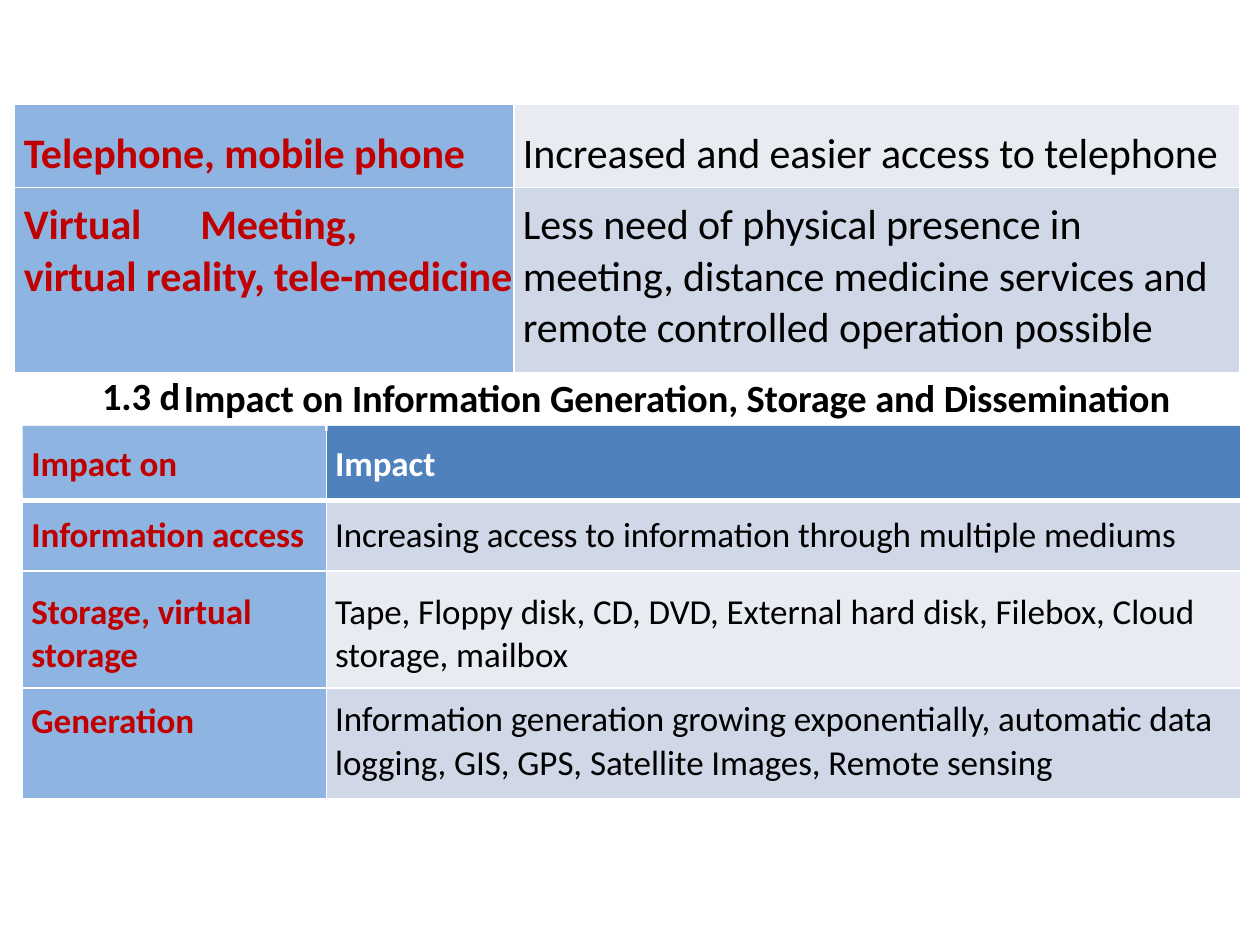
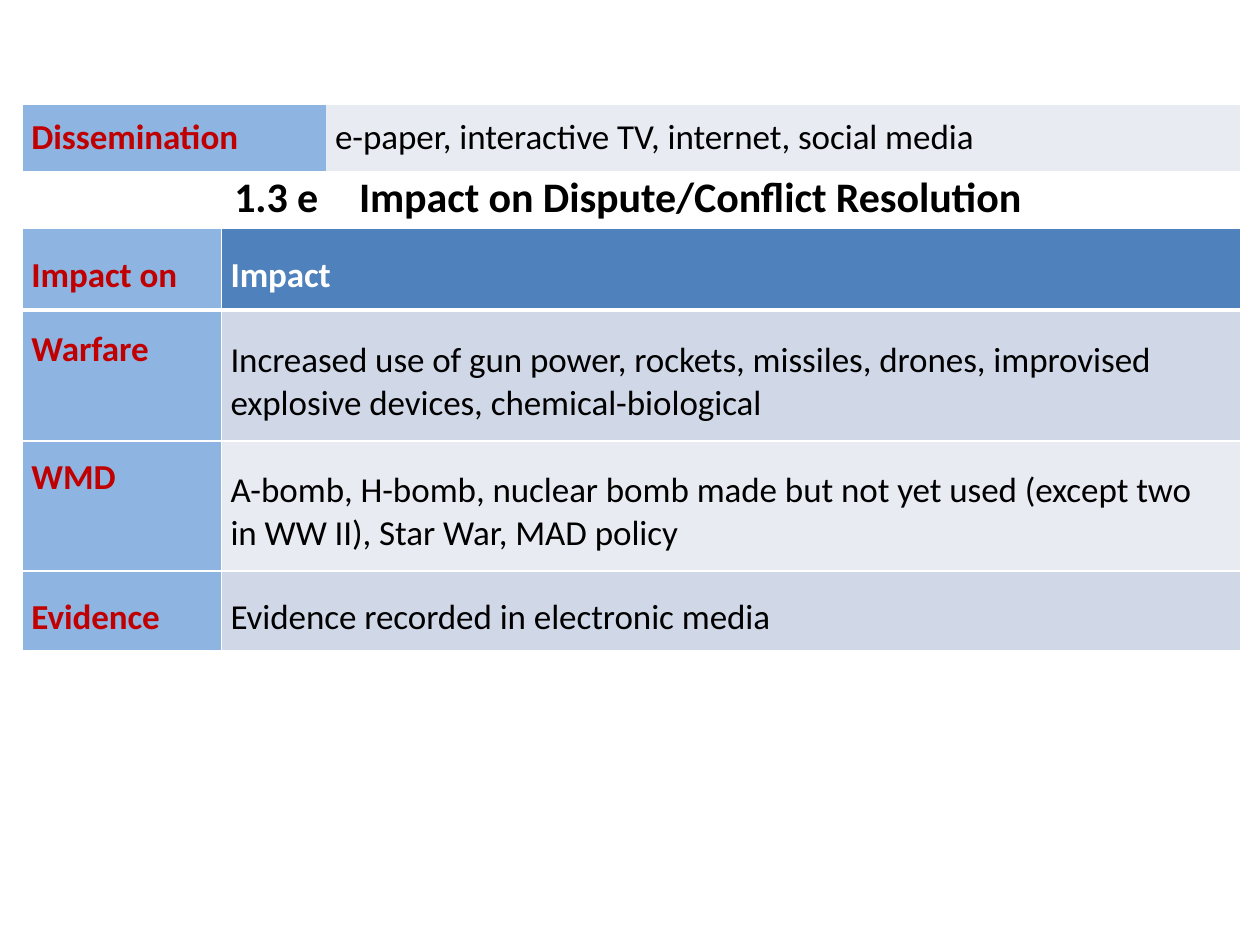
from pptx import Presentation
from pptx.dml.color import RGBColor
from pptx.enum.shapes import MSO_SHAPE
from pptx.enum.text import MSO_ANCHOR, MSO_AUTO_SIZE, PP_ALIGN
from pptx.oxml.ns import qn
from pptx.util import Inches, Pt
from lxml.etree import SubElement

TOPIC_FILL, HEADER_FILL = "8EB4E2", "4F81BC"
BAND_FILLS = ("E9EBF3", "D0D7E7")
TOPIC_TEXT, HEADER_TEXT, BODY_TEXT = "C00000", "FFFFFF", "000000"
RULE = "FFFFFF"
FONT = "Calibri"
PLAIN_TABLE = "{2D5ABB26-0587-4C30-8999-92F81FD0307C}"
LEFT = 0.18


def rgb(color):
    return RGBColor.from_string(color)


def paint(fill, color):
    fill.solid()
    fill.fore_color.rgb = rgb(color)


class Deck:
    def __init__(self):
        self.prs = Presentation()
        self.prs.slide_width, self.prs.slide_height = Inches(10), Inches(7.5)
        self.slide = None

    def add_slide(self):
        self.slide = self.prs.slides.add_slide(self.prs.slide_layouts[5])

    def set_text(self, paragraph, text, size, color=BODY_TEXT, bold=True):
        paragraph.text = text
        paragraph.alignment = PP_ALIGN.LEFT
        for run in paragraph.runs:
            for name, value in {"name": FONT, "size": Pt(size), "bold": bold}.items():
                setattr(run.font, name, value)
            run.font.color.rgb = rgb(color)
            run.font._element.set("spc", "-5")

    def place(self, holder, box, text, size):
        holder.left, holder.top, holder.width, holder.height = map(Inches, box)
        frame = holder.text_frame
        style = {
            "margin_left": Inches(0.01), "margin_top": Inches(0.01),
            "margin_right": 0, "margin_bottom": 0, "word_wrap": True,
            "vertical_anchor": MSO_ANCHOR.TOP,
            "auto_size": MSO_AUTO_SIZE.SHAPE_TO_FIT_TEXT,
        }
        for name, value in style.items():
            setattr(frame, name, value)
        self.set_text(frame.paragraphs[0], text, size)

    def heading(self, number, number_box, title, title_box, size):
        self.place(self.slide.shapes.title, title_box, title, size)
        number_holder = self.slide.shapes.add_textbox(0, 0, 0, 0)
        self.place(number_holder, number_box, number, size)

    def panel(self, box, color):
        panel = self.slide.shapes.add_shape(MSO_SHAPE.RECTANGLE, *map(Inches, box))
        panel.shadow.inherit = False
        panel.line.fill.background()
        paint(panel.fill, color)

    def border(self, cell, side, width):
        line = SubElement(cell._tc.get_or_add_tcPr(), qn(f"a:ln{side}"), w=str(Pt(width)))
        SubElement(SubElement(line, qn("a:solidFill")), qn("a:srgbClr"), val=RULE)

    def table(self, at, widths, heights, rows, size, header=True, rule=1.0, ruled=True):
        frame = self.slide.shapes.add_table(
            len(rows), 2, Inches(at[0]), Inches(at[1]),
            Inches(sum(widths)), Inches(sum(heights)))
        table = frame.table
        table.horz_banding = False
        table.first_row = header
        table._tbl.tblPr.find(qn("a:tableStyleId")).text = PLAIN_TABLE
        for column, width in zip(table.columns, widths):
            column.width = Inches(width)
        for row, height in zip(table.rows, heights):
            row.height = Inches(height)
        rules = [None] + [rule] * (len(rows) - 1) + [None]
        if header:
            rules[1] = 3
        for r, (texts, insets) in enumerate(rows):
            for c, (text, inset) in enumerate(zip(texts, insets)):
                cell = table.cell(r, c)
                margins = {"left": 0.07, "top": inset, "right": 0, "bottom": 0}
                for side, margin in margins.items():
                    setattr(cell, f"margin_{side}", Inches(margin))
                if ruled:
                    self.border(cell, "R" if c == 0 else "L", 1)
                for side, width in (("T", rules[r]), ("B", rules[r + 1])):
                    if width:
                        self.border(cell, side, width)
                in_header = header and r == 0
                if c == 0:
                    fill, color = TOPIC_FILL, TOPIC_TEXT
                elif in_header:
                    fill, color = HEADER_FILL, HEADER_TEXT
                else:
                    fill, color = BAND_FILLS[r % 2], BODY_TEXT
                paint(cell.fill, fill)
                paragraph = cell.text_frame.paragraphs[0]
                self.set_text(paragraph, text, size, color, c == 0 or in_header)
                paragraph.line_spacing = 1.01
        return table

    def tab_stops(self, cell, stops):
        properties = cell.text_frame.paragraphs[0]._p.get_or_add_pPr()
        tabs = SubElement(properties, qn("a:tabLst"))
        for stop in stops:
            SubElement(tabs, qn("a:tab"), pos=str(Inches(stop)), algn="l")


def information_slide(deck):
    deck.add_slide()
    communication = deck.table((0.12, 0.83), (3.96, 5.75), (0.66, 1.46), [
        (("Telephone, mobile phone",
          "Increased and easier access to telephone"), (0.19, 0.19)),
        (("Virtual\tMeeting,\tvirtual reality, tele-medicine",
          "Less need of physical presence in meeting, distance medicine services and "
          "remote controlled operation possible"), (0.09, 0.09)),
    ], 24, header=False)
    deck.tab_stops(communication.cell(1, 0), (1.4, 3.03))
    deck.heading("1.3 d", (0.8, 2.94, 0.65, 0.39),
                 "Impact on Information Generation, Storage and Dissemination",
                 (1.45, 2.96, 7.95, 0.39), 22)
    deck.panel((LEFT, 3.38, 2.4, 0.53), TOPIC_FILL)
    deck.panel((2.6, 3.38, 7.24, 0.53), HEADER_FILL)
    deck.table((LEFT, 3.42), (2.41, 7.25), (0.55, 0.56, 0.93, 0.87), [
        (("Impact on", "Impact"), (0.09, 0.09)),
        (("Information access",
          "Increasing access to information through multiple mediums"), (0.11, 0.11)),
        (("Storage, virtual storage",
          "Tape, Floppy disk, CD, DVD, External hard disk, Filebox, Cloud storage, mailbox"),
         (0.16, 0.16)),
        (("Generation",
          "Information generation growing exponentially, automatic data logging, "
          "GIS, GPS, Satellite Images, Remote sensing"), (0.09, 0.08)),
    ], 20)


def conflict_slide(deck):
    deck.add_slide()
    deck.table((LEFT, 0.83), (2.41, 7.25), (0.53,), [
        (("Dissemination", "e-paper, interactive TV, internet, social media"), (0.09, 0.09)),
    ], 20, header=False, ruled=False)
    deck.heading("1.3 e", (1.85, 1.34, 0.7, 0.43),
                 "Impact on Dispute/Conflict Resolution", (2.84, 1.34, 5.33, 0.43), 24)
    deck.table((LEFT, 1.82), (1.58, 8.08), (0.64, 1.04, 1.03, 0.63), [
        (("Impact on", "Impact"), (0.19, 0.19)),
        (("Warfare",
          "Increased use of gun power, rockets, missiles, drones, improvised "
          "explosive devices, chemical-biological"), (0.14, 0.23)),
        (("WMD",
          "A-bomb, H-bomb, nuclear bomb made but not yet used (except two\v"
          "in WW II), Star War, MAD policy"), (0.12, 0.22)),
        (("Evidence", "Evidence recorded in electronic media"), (0.2, 0.2)),
    ], 20, rule=1.5)


def main():
    deck = Deck()
    information_slide(deck)
    conflict_slide(deck)
    deck.prs.save("out.pptx")


if __name__ == "__main__":
    main()
